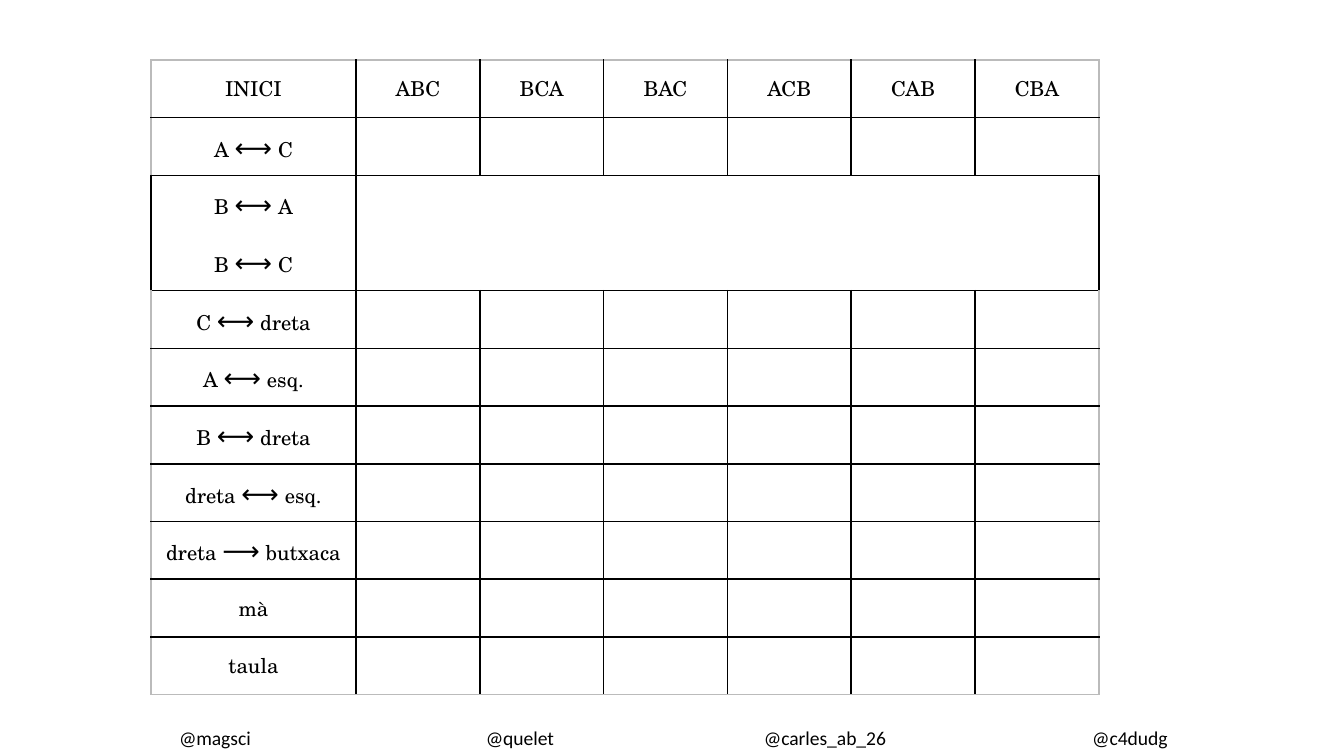
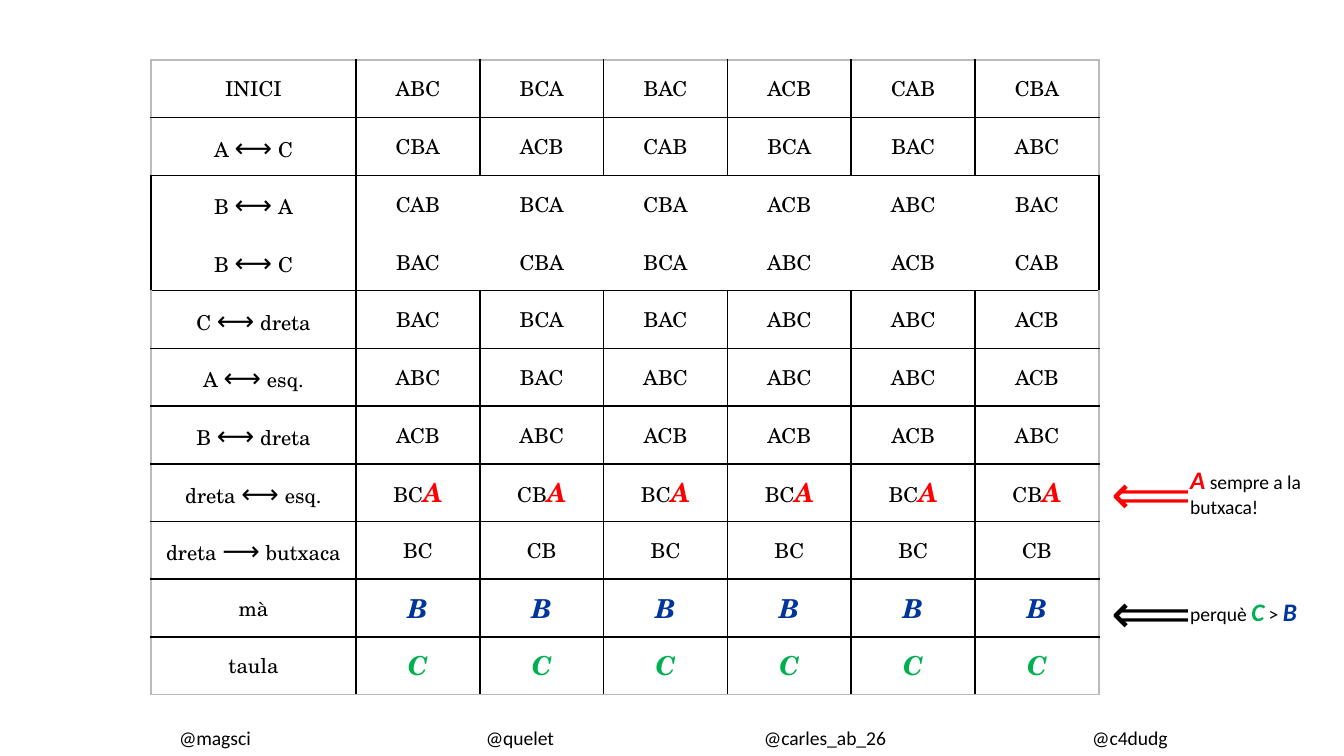
from lxml.etree import SubElement
from pptx import Presentation
from pptx.dml.color import RGBColor
from pptx.enum.text import MSO_ANCHOR, MSO_AUTO_SIZE, PP_ALIGN
from pptx.oxml.ns import qn
from pptx.util import Emu, Pt

SCALE = 914400 / 134.4
COLORS = {"ink": "000000", "edge": "BBBBBB", "red": "FF0000",
          "blue": "00359B", "green": "00B050"}
LETTER_COLORS = {"A": "red", "B": "blue", "C": "green"}
SERIF, SANS = "TeX Gyre Schola", "Calibri"
HANDLES = ["@magsci", "@quelet", "@carles_ab_26", "@c4dudg"]
STEPS = [
    ("INICI", "ABC BCA BAC ACB CAB CBA"),
    ("A ⟷ C", "CBA ACB CAB BCA BAC ABC"),
    ("B ⟷ A", "CAB BCA CBA ACB ABC BAC"),
    ("B ⟷ C", "BAC CBA BCA ABC ACB CAB"),
    ("C ⟷ dreta", "BAC BCA BAC ABC ABC ACB"),
    ("A ⟷ esq.", "ABC BAC ABC ABC ABC ACB"),
    ("B ⟷ dreta", "ACB ABC ACB ACB ACB ABC"),
    ("dreta ⟷ esq.", "BCA CBA BCA BCA BCA CBA"),
    ("dreta ⟶ butxaca", "BC CB BC BC BC CB"),
    ("mà", "B B B B B B"),
    ("taula", "C C C C C C"),
]
HIGHLIGHTED = (7, 9, 10)
OPEN_ROWS = (2, 3)
TABLE_X, TABLE_Y, TABLE_W, TABLE_H = 151, 60, 948, 635
LABEL_W = 205


def px(n):
    return Emu(round(n * SCALE))


def plain(text, font, size, color="ink"):
    return text, {"name": font, "size": Pt(size)}, color


def letter(text, font, size):
    fmt = {"name": font, "size": Pt(size), "bold": True, "italic": True}
    return text, fmt, LETTER_COLORS[text]


def write(p, runs, align):
    p.alignment = align
    for text, fmt, color in runs:
        r = p.add_run()
        r.text = text
        for name, value in fmt.items():
            setattr(r.font, name, value)
        r.font.color.rgb = RGBColor.from_string(COLORS[color])


def add_text(s, box, runs, align=PP_ALIGN.LEFT, anchor=MSO_ANCHOR.TOP):
    tf = s.shapes.add_textbox(*map(px, box)).text_frame
    fmt = {"word_wrap": True, "auto_size": MSO_AUTO_SIZE.SHAPE_TO_FIT_TEXT,
           "vertical_anchor": anchor}
    for name, value in fmt.items():
        setattr(tf, name, value)
    write(tf.paragraphs[0], runs, align)


def label_runs(label):
    for arrow in "⟷⟶":
        if arrow in label:
            before, _, after = label.partition(arrow)
            return [plain(before, SERIF, 11), plain(arrow, SERIF, 14),
                    plain(after, SERIF, 11)]
    return [plain(label, SERIF, 11)]


def order_runs(order, highlighted):
    if not highlighted:
        return [plain(order, SERIF, 11)]
    head = [plain(order[:-1], SERIF, 11)] if order[:-1] else []
    return head + [letter(order[-1], SERIF, 14)]


def border_colors(row, col, last_row, last_col):
    is_open = row in OPEN_ROWS
    inner = None if is_open else "ink"
    side = "ink" if is_open else "edge"
    return {
        "L": side if col == 0 else "ink" if col == 1 else inner,
        "R": side if col == last_col else "ink" if col == 0 else inner,
        "T": "edge" if row == 0 else None if row == OPEN_ROWS[1] else "ink",
        "B": "edge" if row == last_row else None if row == OPEN_ROWS[0] else "ink",
    }


def set_borders(cell, colors):
    tcPr = cell._tc.get_or_add_tcPr()
    for side, color in colors.items():
        ln = SubElement(tcPr, qn(f"a:ln{side}"), w=str(Pt(1)))
        if color:
            fill = SubElement(ln, qn("a:solidFill"))
            SubElement(fill, qn("a:srgbClr"), val=COLORS[color])
        else:
            SubElement(ln, qn("a:noFill"))


def add_steps_table(s, solved):
    last_row, last_col = len(STEPS) - 1, len(STEPS[0][1].split())
    table = s.shapes.add_table(last_row + 1, last_col + 1, px(TABLE_X), px(TABLE_Y),
                               px(TABLE_W), px(TABLE_H)).table
    table.first_row = table.horz_banding = False
    for i, column in enumerate(table.columns):
        column.width = px((TABLE_W - LABEL_W) / last_col if i else LABEL_W)
    fmt = {"margin_left": px(9), "margin_right": px(9), "margin_top": px(5),
           "margin_bottom": px(5), "vertical_anchor": MSO_ANCHOR.MIDDLE}
    for row, (label, orders) in enumerate(STEPS):
        table.rows[row].height = px(TABLE_H / len(STEPS))
        contents = [label_runs(label)]
        contents += [order_runs(o, row in HIGHLIGHTED) for o in orders.split()]
        for col, runs in enumerate(contents):
            cell = table.cell(row, col)
            for name, value in fmt.items():
                setattr(cell, name, value)
            set_borders(cell, border_colors(row, col, last_row, last_col))
            cell.fill.background()
            if solved or row == 0 or col == 0:
                write(cell.text_frame.paragraphs[0], runs, PP_ALIGN.CENTER)


def add_footer(s):
    for i, handle in enumerate(HANDLES):
        add_text(s, (125 + 305 * i, 718, 180, 39), [plain(handle, SANS, 10.5)],
                 PP_ALIGN.CENTER, MSO_ANCHOR.MIDDLE)


def add_note(s, box, runs, arrow_y, arrow_color):
    add_text(s, box, runs)
    add_text(s, (1098, arrow_y, 102, 82), [plain("⟸", SANS, 30, arrow_color)])


def add_step_slide(prs, solved):
    s = prs.slides.add_slide(prs.slide_layouts[6])
    add_footer(s)
    add_steps_table(s, solved)
    return s


def main():
    prs = Presentation()
    prs.slide_width, prs.slide_height = px(1344), px(756)
    add_step_slide(prs, solved=False)
    s = add_step_slide(prs, solved=True)
    add_note(s, (1177, 458, 140, 67),
             [letter("A", SANS, 13.5), plain(" sempre a la butxaca!", SANS, 10.5)],
             452, "red")
    add_note(s, (1177, 590, 181, 44),
             [plain("perquè ", SANS, 10.5), letter("C", SANS, 13.5),
              plain(" > ", SANS, 10.5), letter("B", SANS, 13.5)],
             571, "ink")
    prs.save("out.pptx")


if __name__ == "__main__":
    main()
